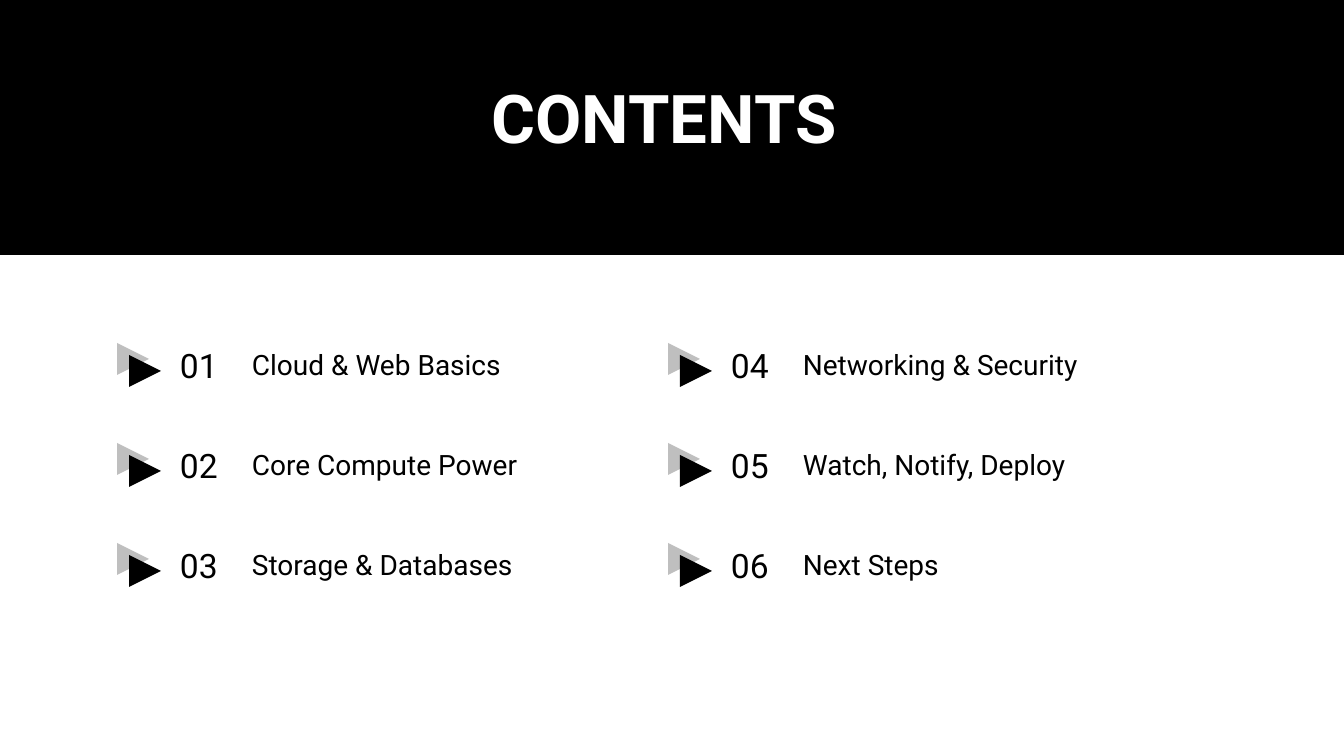
from pptx import Presentation
from pptx import util as u
from pptx.dml import color
from pptx.enum import shapes, text

COLORS = {"black": "000000", "grey": "BFBFBF", "white": "FFFFFF"}
TOPICS = [
    "Cloud & Web Basics",
    "Core Compute Power",
    "Storage & Databases",
    "Networking & Security",
    "Watch, Notify, Deploy",
    "Next Steps",
]
ROWS = 3
COLUMN_STEP = 551
ROW_STEP = 100
EMU_PER_INCH = 914400
PX_PER_INCH = 100.8


def px(*lengths):
    return [u.Emu(round(length * EMU_PER_INCH / PX_PER_INCH)) for length in lengths]


def rgb(name):
    return color.RGBColor.from_string(COLORS[name])


def write(para, content, size=20, ink="black", bold=False, align=text.PP_ALIGN.LEFT):
    para.alignment = align
    span = para.add_run()
    span.text = content
    span.font.name = "Roboto"
    span.font.size = u.Pt(size)
    span.font.bold = bold
    span.font.color.rgb = rgb(ink)


class ContentsPage:
    def __init__(self, deck):
        self.page = deck.slides.add_slide(deck.slide_layouts[6])
        self.page.background.fill.solid()
        self.page.background.fill.fore_color.rgb = rgb("white")

    def shape(self, kind, left, top, width, height, fill, rotation=0):
        shape = self.page.shapes.add_shape(kind, *px(left, top, width, height))
        shape.rotation = rotation
        shape.shadow.inherit = False
        shape.fill.solid()
        shape.fill.fore_color.rgb = rgb(fill)
        shape.line.fill.background()

    def label(self, content, left, top, width, height, **style):
        box = self.page.shapes.add_textbox(*px(left, top, width, height))
        box.text_frame.word_wrap = True
        box.text_frame.auto_size = text.MSO_AUTO_SIZE.SHAPE_TO_FIT_TEXT
        write(box.text_frame.paragraphs[0], content, **style)

    def marker(self, left, top):
        for offset, fill in ((0, "grey"), (12, "black")):
            self.shape(shapes.MSO_SHAPE.ISOSCELES_TRIANGLE,
                       left + offset, top + offset, 32, 32, fill, rotation=90)

    def topic(self, index, name):
        column, row = divmod(index, ROWS)
        left = 117 + column * COLUMN_STEP
        top = 343 + row * ROW_STEP
        self.marker(left, top)
        self.label(f"{index + 1:02}", left + 53, top - 3, 76, 40, size=24)
        self.label(name, left + 125, top, 493, 34)


def main():
    deck = Presentation()
    deck.slide_width, deck.slide_height = px(1344, 756)
    contents = ContentsPage(deck)
    contents.shape(shapes.MSO_SHAPE.RECTANGLE, 0, 0, 1344, 255, "black")
    contents.label("CONTENTS ", 479, 71, 387, 173, size=48, ink="white",
                   bold=True, align=text.PP_ALIGN.CENTER)
    for index, name in enumerate(TOPICS):
        contents.topic(index, name)
    deck.save("out.pptx")


if __name__ == "__main__":
    main()
